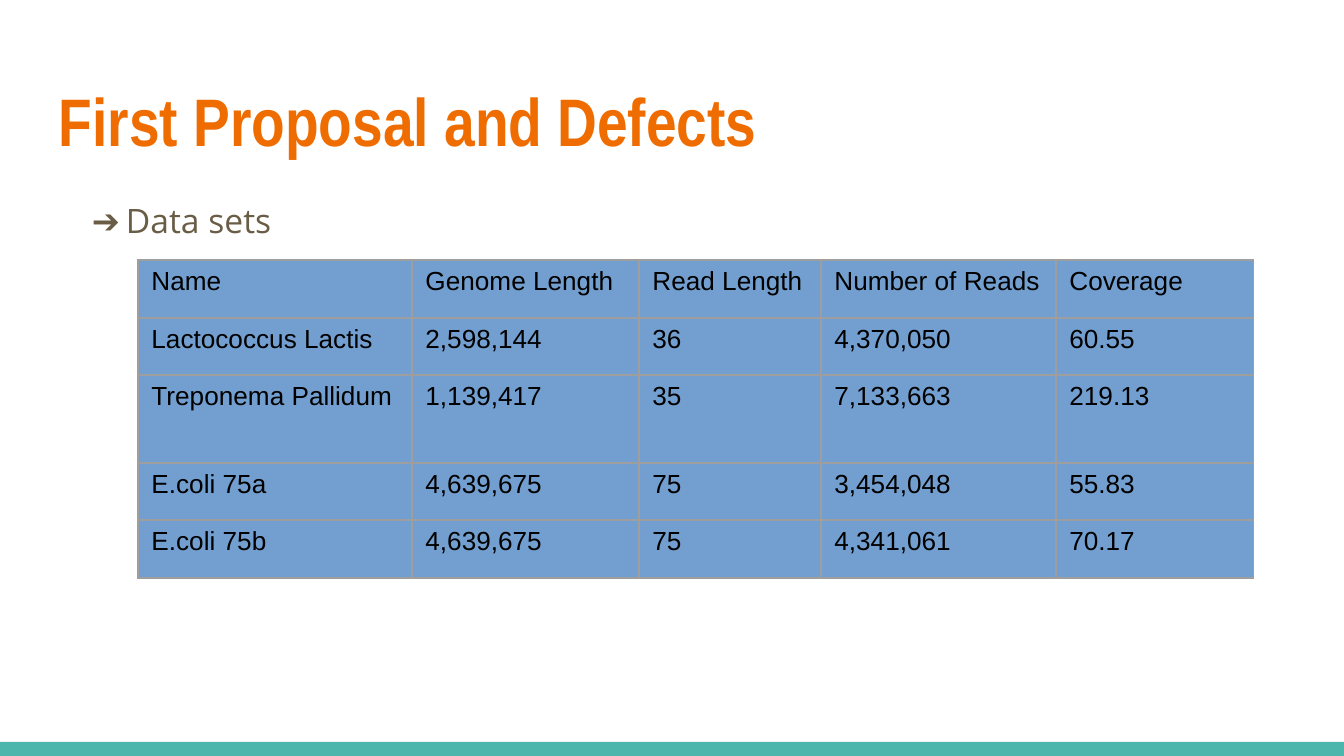
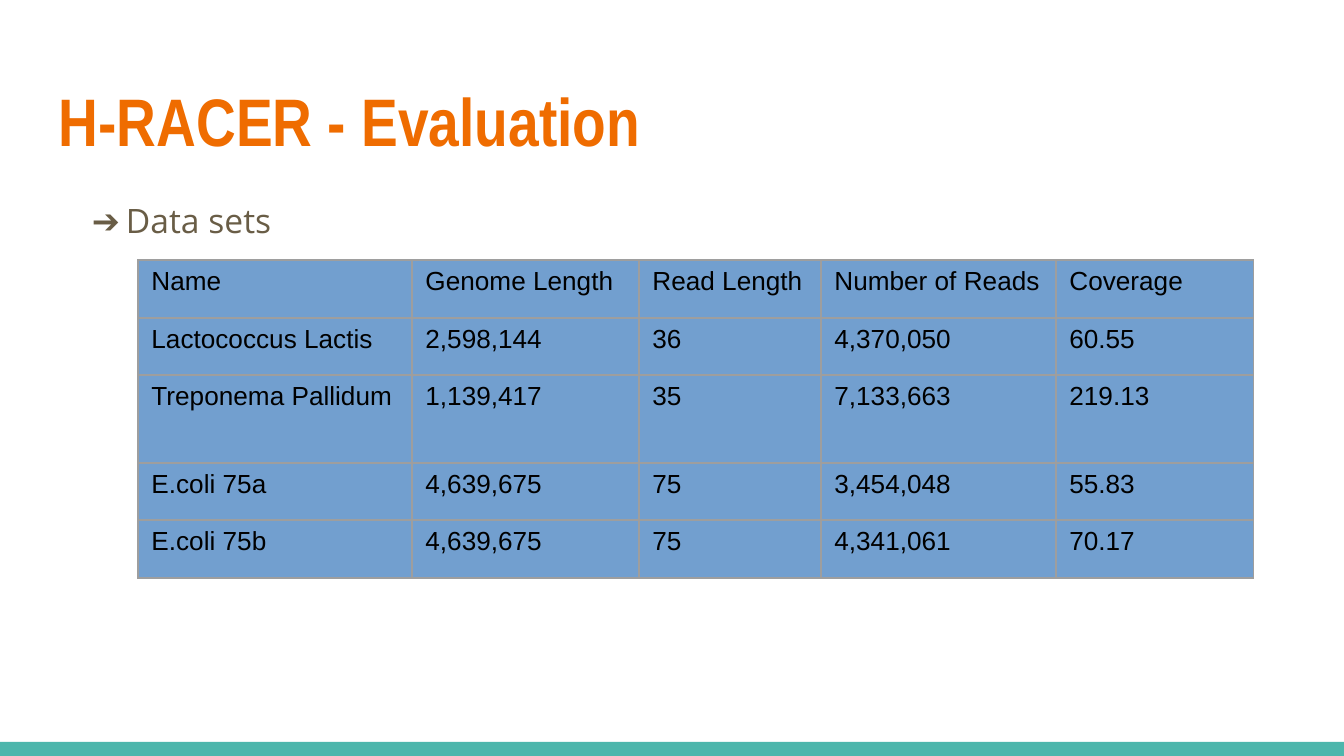
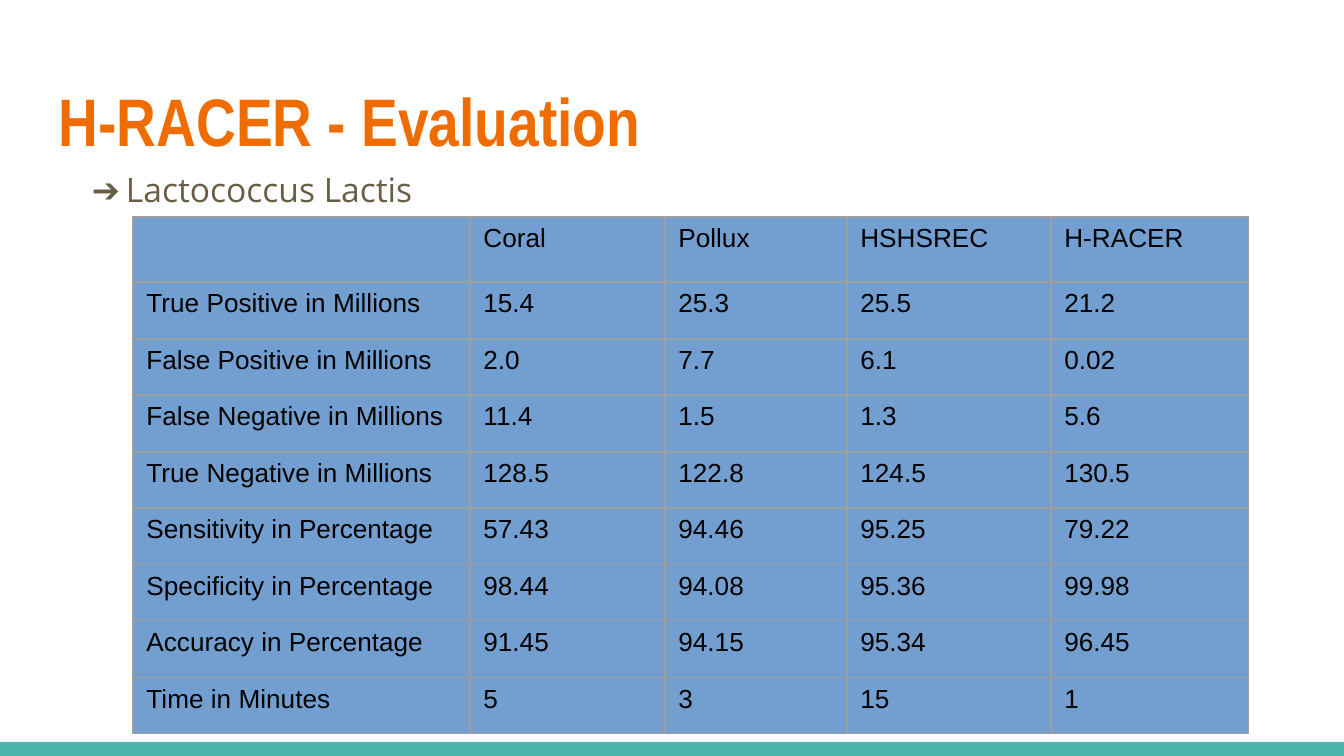
"""Builds three slides that set out data sets and test results as tables."""
from lxml import etree
from pptx import Presentation
from pptx.dml.color import RGBColor
from pptx.enum.shapes import MSO_SHAPE
from pptx.enum.text import MSO_ANCHOR, MSO_AUTO_SIZE, PP_ALIGN
from pptx.oxml.ns import qn
from pptx.util import Pt

RECT = MSO_SHAPE.RECTANGLE
TOP = MSO_ANCHOR.TOP
FIXED = MSO_AUTO_SIZE.NONE
LEFT = PP_ALIGN.LEFT

TEAL = RGBColor(0x4D, 0xB6, 0xAC)
ORANGE = RGBColor(0xEF, 0x6C, 0x00)
BROWN = RGBColor(0x69, 0x5D, 0x46)
BLUE = RGBColor(0x72, 0x9F, 0xCF)
GREY = RGBColor(0x9E, 0x9E, 0x9E)
BLACK = RGBColor(0, 0, 0)

DATA = {
    "rows": [
        ("Name", "Genome Length", "Read Length", "Number of Reads", "Coverage"),
        ("Lactococcus Lactis", "2,598,144", "36", "4,370,050", "60.55"),
        ("Treponema Pallidum", "1,139,417", "35", "7,133,663", "219.13"),
        ("E.coli 75a", "4,639,675", "75", "3,454,048", "55.83"),
        ("E.coli 75b", "4,639,675", "75", "4,341,061", "70.17"),
    ],
    "at": (138, 260),
    "wide": [274, 227, 182, 235, 198],
    "high": [58, 57, 88, 57, 58],
}
SCORES = {
    "rows": [
        ("", "Coral", "Pollux", "HSHSREC", "H-RACER"),
        ("True Positive in Millions", "15.4", "25.3", "25.5", "21.2"),
        ("False Positive in Millions", "2.0", "7.7", "6.1", "0.02"),
        ("False Negative in Millions", "11.4", "1.5", "1.3", "5.6"),
        ("True Negative in Millions", "128.5", "122.8", "124.5", "130.5"),
        ("Sensitivity in Percentage", "57.43", "94.46", "95.25", "79.22"),
        ("Specificity in Percentage", "98.44", "94.08", "95.36", "99.98"),
        ("Accuracy in Percentage", "91.45", "94.15", "95.34", "96.45"),
        ("Time in Minutes", "5", "3", "15", "1"),
    ],
    "at": (133, 217),
    "wide": [337, 195, 182, 204, 198],
    "high": [65] + [57, 56] * 4,
}
SLIDES = [
    ("First Proposal and Defects", "Data sets", 187, DATA),
    ("H-RACER - Evaluation", "Data sets", 187, DATA),
    ("H-RACER - Evaluation", "Lactococcus Lactis", 156, SCORES),
]

WIDE, HIGH = 1344, 756
BAND = 14
SIDE, SPAN = 46, 1252
TITLE = {"name": "Arial Narrow", "size": Pt(36), "bold": True}
BODY = {"name": "Open Sans", "size": Pt(18), "bold": False}
CELL = {"name": "Arial", "size": Pt(14), "bold": False}


def px(num):
    return round(num * 914400 / 134.4)


def put(item, vals):
    for key, val in vals.items():
        setattr(item, key, val)


def style(para, font, tint):
    for run in para.runs:
        put(run.font, font)
        run.font.color.rgb = tint


def tag(root, name, **vals):
    return etree.SubElement(root, qn(name), vals)


def tint(root, color):
    tag(tag(root, "a:solidFill"), "a:srgbClr", val=str(color))


def fill(holder, text, box, font, color):
    put(holder, dict(zip(("left", "top", "width", "height"), map(px, box))))
    frame = holder.text_frame
    frame.text = text
    sides = ("margin_left", "margin_top", "margin_right", "margin_bottom")
    put(frame, dict.fromkeys(sides, px(13)))
    put(frame, {"word_wrap": True, "auto_size": FIXED, "vertical_anchor": TOP})
    para = frame.paragraphs[0]
    put(para, {"alignment": LEFT, "space_before": Pt(0)})
    style(para, font, color)
    return para


def arrow(para):
    para.space_after = Pt(16)
    props = para._p.get_or_add_pPr()
    props.set("marL", str(px(67)))
    props.set("indent", str(-px(34)))
    tag(tag(props, "a:buClr"), "a:srgbClr", val=str(BROWN))
    tag(props, "a:buFont", typeface="Open Sans")
    tag(props, "a:buChar", char="➔")


def edge(cell):
    props = cell._tc.get_or_add_tcPr()
    for side in ("a:lnL", "a:lnR", "a:lnT", "a:lnB"):
        tint(tag(props, side, w=str(Pt(0.75))), GREY)


def grid(slide, spec):
    rows, wide, high = spec["rows"], spec["wide"], spec["high"]
    box = map(px, (*spec["at"], sum(wide), sum(high)))
    table = slide.shapes.add_table(len(rows), len(wide), *box).table
    put(table, {"first_row": False, "horz_banding": False})
    for col, size in zip(table.columns, wide):
        col.width = px(size)
    for line, size, texts in zip(table.rows, high, rows):
        line.height = px(size)
        for cell, text in zip(line.cells, texts):
            cell.text = text
            style(cell.text_frame.paragraphs[0], CELL, BLACK)
            edge(cell)
            cell.fill.solid()
            cell.fill.fore_color.rgb = BLUE


def band(slide):
    box = map(px, (0, HIGH - BAND, WIDE, BAND))
    bar = slide.shapes.add_shape(RECT, *box)
    bar.shadow.inherit = False
    bar.fill.solid()
    bar.fill.fore_color.rgb = TEAL
    bar.line.fill.background()
    slide.slide_layout.shapes.element.insert(2, bar.element)


def main():
    deck = Presentation()
    put(deck, {"slide_width": px(WIDE), "slide_height": px(HIGH)})
    layout = deck.slide_layouts[1]
    for title, point, top, spec in SLIDES:
        slide = deck.slides.add_slide(layout)
        head, body = slide.placeholders
        fill(head, title, (SIDE, 66, SPAN, 103), TITLE, ORANGE)
        arrow(fill(body, point, (SIDE, top, SPAN, 485), BODY, BROWN))
        grid(slide, spec)
    band(deck.slides[0])
    deck.save("out.pptx")


if __name__ == "__main__":
    main()
